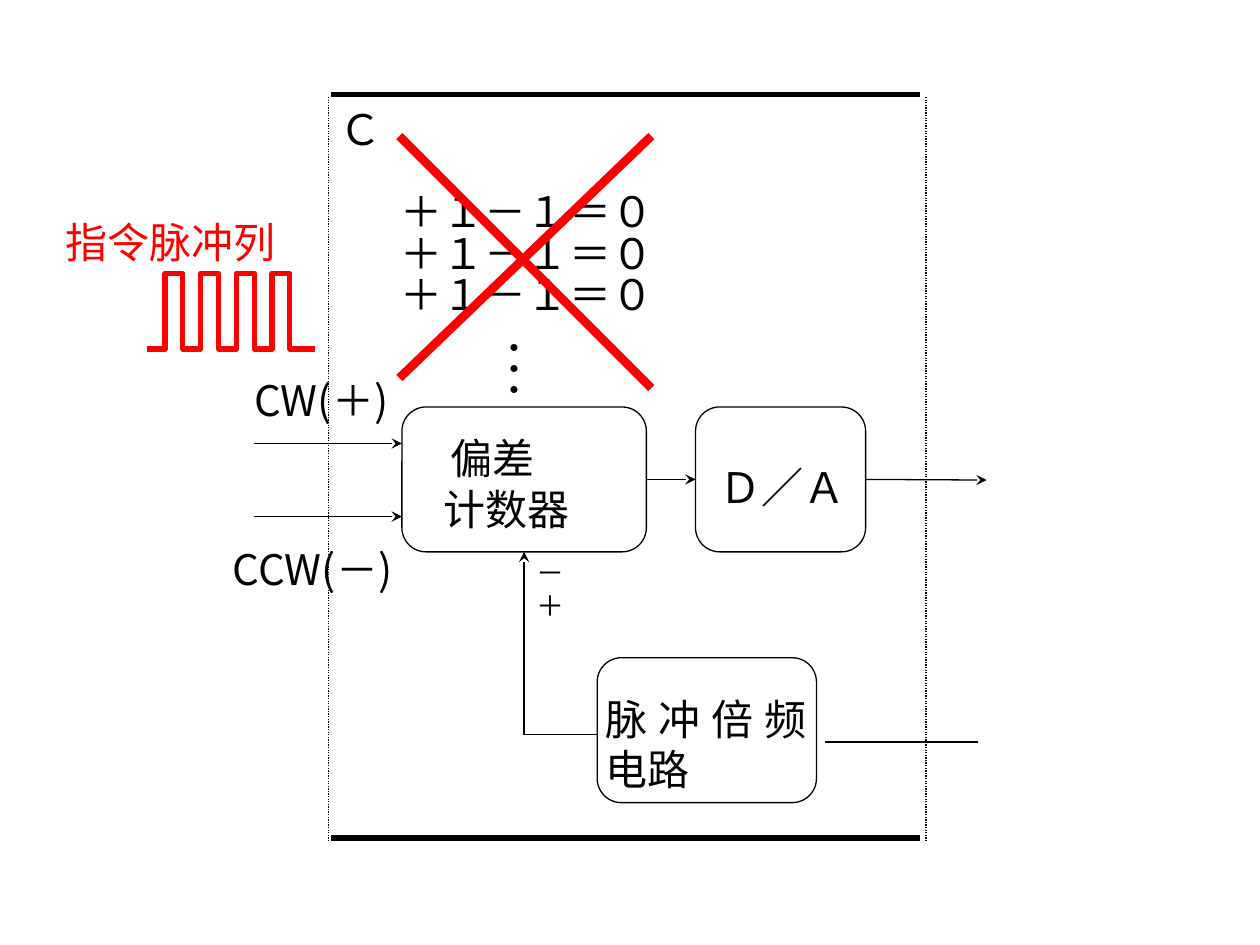
from pptx import Presentation
from pptx import util as u
from pptx.dml.color import RGBColor
from pptx.enum import dml, shapes, text
from pptx.oxml.ns import qn
from lxml import etree

SANS, SERIF = "Noto Sans CJK JP", "TeX Gyre Schola"
BLACK, WHITE, RED = "000000", "FFFFFF", "FF0000"
JUSTIFY = text.PP_ALIGN.JUSTIFY
TOP, LEFT, BOTTOM, RIGHT = range(4)


def color(value):
    return RGBColor.from_string(value)


def inches(*values):
    return [u.Inches(value) for value in values]


def add_text(page, box, lines, size=24, font=SANS, ink=BLACK, align=None,
             vertical=False):
    label = page.shapes.add_textbox(*inches(*box))
    frame = label.text_frame
    frame.word_wrap = True
    if vertical:
        body = frame._txBody.find(qn("a:bodyPr"))
        body.set("vert", "eaVert")
        frame.margin_left = frame.margin_right = u.Inches(0.05)
        frame.margin_top = frame.margin_bottom = u.Inches(0.1)
    for number, line in enumerate(lines):
        para = frame.add_paragraph() if number else frame.paragraphs[0]
        para.alignment = align
        if not vertical:
            para.line_spacing = u.Pt(round(size * 1.2))
        span = para.add_run()
        span.text = line
        span.font.size = u.Pt(size)
        span.font.name = font
        span.font.color.rgb = color(ink)
        east_asian = etree.SubElement(span._r.get_or_add_rPr(), qn("a:ea"))
        east_asian.set("typeface", SANS)
    return label


def add_line(page, start, end, ink=BLACK, width=0.75, arrow=False,
             dash=None, source=None, target=None):
    line = page.shapes.add_connector(
        shapes.MSO_CONNECTOR.STRAIGHT, *inches(*start, *end))
    line.line.color.rgb = color(ink)
    line.line.width = u.Pt(width)
    if dash:
        line.line.dash_style = dash
    if arrow:
        tail = etree.SubElement(line.line._get_or_add_ln(), qn("a:tailEnd"))
        tail.set("type", "stealth")
    etree.SubElement(line._element.spPr, qn("a:effectLst"))
    if source:
        line.begin_connect(*source)
    if target:
        line.end_connect(*target)
    return line


def add_block(page, box):
    block = page.shapes.add_shape(
        shapes.MSO_SHAPE.ROUNDED_RECTANGLE, *inches(*box))
    block.adjustments[0] = 0.167
    block.shadow.inherit = False
    block.fill.solid()
    block.fill.fore_color.rgb = color(WHITE)
    block.line.color.rgb = color(BLACK)
    block.line.width = u.Pt(0.75)
    return block


def draw_controller_frame(page, left, top, width, height):
    right, bottom = left + width, top + height
    for x in (left, right):
        add_line(page, (x, top + 0.02), (x, bottom + 0.02),
                 dash=dml.MSO_LINE.ROUND_DOT)
    for y in (top, bottom):
        add_line(page, (left + 0.02, y), (right - 0.05, y), width=3)
    add_text(page, (left - 0.01, top + 0.02, 0.94, 0.5), ["Ｃ"])


def draw_control_loop(page, left, top):
    # Blocks
    counter = add_block(page, (left, top, 1.94, 1.15))
    converter = add_block(page, (left + 2.33, top, 1.35, 1.15))
    multiplier_left, multiplier_top = left + 1.55, top + 1.99
    add_block(page, (multiplier_left, multiplier_top, 1.74, 1.15))

    # Command inputs
    for offset in (0.29, 0.87):
        add_line(page, (left - 1.17, top + offset), (left, top + offset),
                 arrow=True)

    # Forward path
    middle = top + 0.58
    add_line(page, (left + 1.94, middle), (left + 2.33, middle), arrow=True,
             source=(counter, RIGHT), target=(converter, LEFT))
    add_line(page, (left + 3.68, middle), (left + 4.64, middle), arrow=True,
             source=(converter, RIGHT))

    # Feedback path
    corner = (left + 0.97, multiplier_top + 0.61)
    add_line(page, (multiplier_left, corner[1]), corner)
    add_line(page, corner, (corner[0], top + 1.15), arrow=True,
             target=(counter, BOTTOM))
    feedback = multiplier_top + 0.67
    add_line(page, (left + 3.36, feedback), (left + 4.57, feedback))

    # Labels
    name = add_text(page, (left + 0.23, top + 0.15, 1.83, 0.87),
                    ["偏差", "计数器"], align=JUSTIFY)
    first = name.text_frame.paragraphs[0]._p.get_or_add_pPr()
    first.set("indent", str(u.Inches(0.06)))
    add_text(page, (left + 2.42, top + 0.38, 1.47, 0.45), ["Ｄ／Ａ"],
             font=SERIF, align=JUSTIFY)
    add_text(page, (multiplier_left - 0.03, multiplier_top + 0.23, 1.79, 0.8),
             ["脉冲倍频电路"], align=JUSTIFY)
    add_text(page, (left - 1.27, top - 0.31, 1.55, 0.57), ["CW(＋)"],
             align=JUSTIFY)
    add_text(page, (left - 1.44, top + 1.03, 1.85, 0.5), ["CCW(－)"],
             align=JUSTIFY)
    add_text(page, (left + 0.97, top + 1.13, 0.73, 0.86), ["－", "＋"],
             size=16, font=SERIF, align=JUSTIFY)


def draw_pulse_train(page, left, top, width, height, pulses=4):
    # Square wave: each pulse rises, holds, falls and rests for equal steps
    lead, step = 0.14, 0.1415
    bottom = top + height
    points = []
    for pulse in range(pulses):
        rise = left + lead + 2 * pulse * step
        fall = rise + step
        points += [(rise, bottom), (rise, top), (fall, top), (fall, bottom)]
    points.append((left + width, bottom))
    builder = page.shapes.build_freeform(*inches(left, bottom))
    builder.add_line_segments([inches(*point) for point in points],
                              close=False)
    wave = builder.convert_to_shape()
    wave.shadow.inherit = False
    wave.fill.background()
    wave.line.color.rgb = color(RED)
    wave.line.width = u.Pt(3)
    add_text(page, (left - 0.75, top - 0.5, 2.33, 0.5), ["指令脉冲列"],
             ink=RED)


def draw_crossed_sums(page, left, top):
    # Three equal sums, then an ellipsis running downwards
    for row in range(3):
        for column, term in enumerate(("＋１", "－１", "＝０")):
            add_text(page, (left + column * 0.67, top + row * 0.33, 1.08, 0.5),
                     [term])
    add_text(page, (left + 0.66, top + 1.16, 0.6, 0.75), ["･･･"],
             vertical=True)

    # Red cross
    near, far, high = left + 0.09, left + 2.09, top - 0.34
    add_line(page, (far, high), (near, high + 1.92), ink=RED, width=5)
    add_line(page, (near, high), (far, high + 2), ink=RED, width=5)


def main():
    deck = Presentation()
    deck.slide_width, deck.slide_height = inches(10, 7.5)
    page = deck.slides.add_slide(deck.slide_layouts[6])
    draw_controller_frame(page, 2.61, 0.75, 4.74, 5.9)
    draw_control_loop(page, 3.19, 3.23)
    draw_pulse_train(page, 1.17, 2.17, 1.33, 0.6)
    draw_crossed_sums(page, 3.08, 1.42)
    deck.save("out.pptx")


if __name__ == "__main__":
    main()
